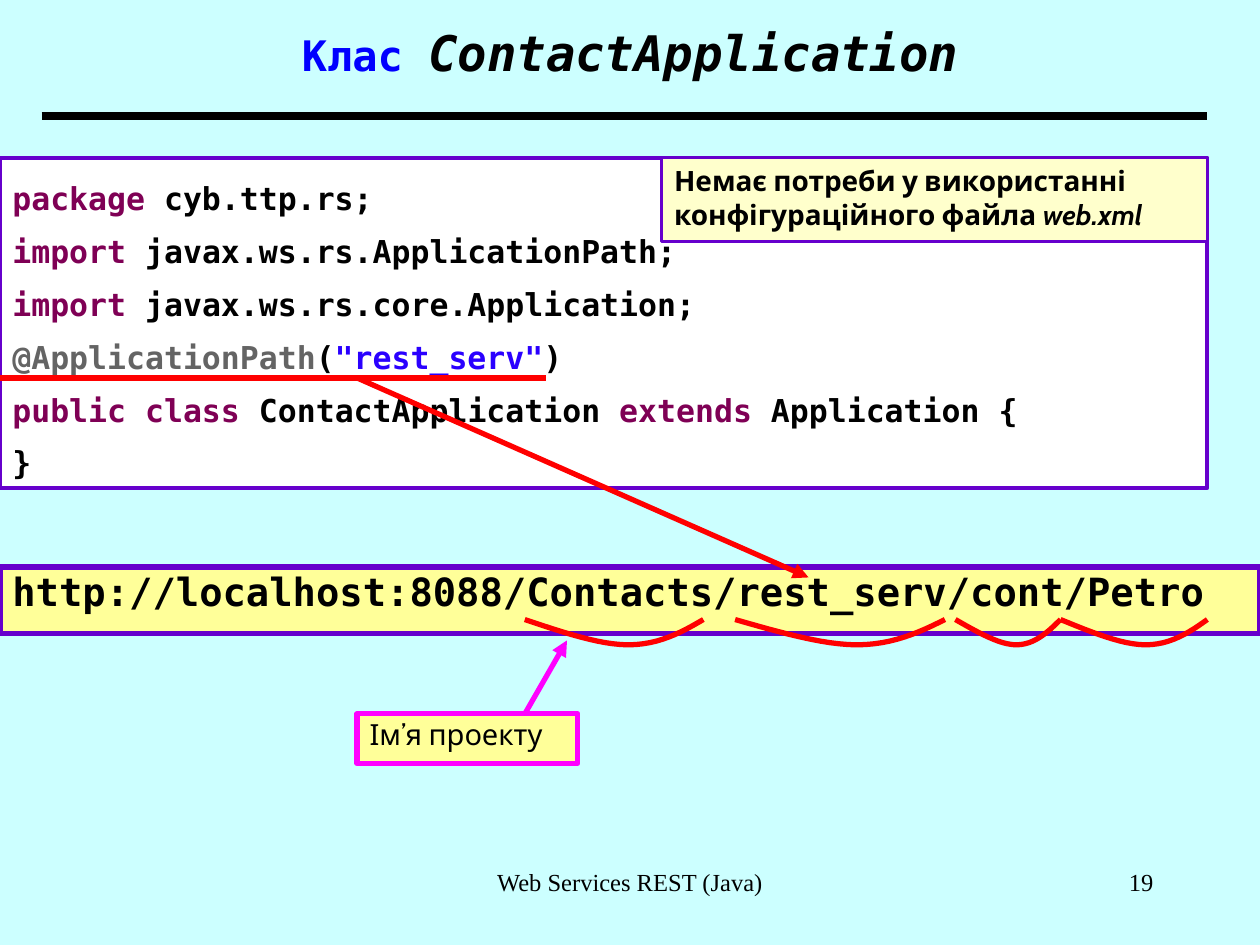
from dataclasses import dataclass

from lxml import etree
from pptx import Presentation
from pptx.dml.color import RGBColor
from pptx.enum.shapes import MSO_CONNECTOR, MSO_SHAPE
from pptx.enum.text import MSO_ANCHOR, PP_ALIGN
from pptx.oxml.ns import qn
from pptx.util import Cm, Pt

STRAIGHT = MSO_CONNECTOR.STRAIGHT
RECTANGLE = MSO_SHAPE.RECTANGLE
TOP, MIDDLE = MSO_ANCHOR.TOP, MSO_ANCHOR.MIDDLE
LEFT, CENTER, RIGHT = PP_ALIGN.LEFT, PP_ALIGN.CENTER, PP_ALIGN.RIGHT


@dataclass(frozen=True)
class Theme:
    mono: str = "DejaVu Sans Mono"
    sans: str = "Cabin"
    serif: str = "Times New Roman"
    background: str = "CCFFFF"
    white: str = "FFFFFF"
    black: str = "000000"
    blue: str = "0000FF"
    purple: str = "6600CC"
    red: str = "FF0000"
    magenta: str = "FF00FF"
    yellow: str = "FFFF99"
    cream: str = "FFFFCC"
    keyword: str = "7F0055"
    annotation: str = "646464"
    literal: str = "2A00FF"
    title_size: float = 24
    class_size: float = 28
    code_size: float = 18
    url_size: float = 22.2
    note_size: float = 16
    label_size: float = 16.6
    footer_size: float = 14


class SlideBuilder:
    def __init__(self, page, theme):
        self.page = page
        self.theme = theme
        page.background.fill.solid()
        page.background.fill.fore_color.rgb = RGBColor.from_string(theme.background)

    def stroke(self, shape, color, width):
        shape.line.color.rgb = RGBColor.from_string(color)
        shape.line.width = Pt(width)

    def set_lines(self, shape, lines, font, size, bold=False, align=LEFT, anchor=TOP, spacing=1.0):
        frame = shape.text_frame
        frame.word_wrap = True
        frame.vertical_anchor = anchor
        for index, line in enumerate(lines):
            para = frame.add_paragraph() if index else frame.paragraphs[0]
            para.alignment = align
            para.line_spacing = spacing
            for text, color, *italic_size in line:
                span = para.add_run()
                span.text = text
                span.font.name = font
                span.font.size = Pt(italic_size[0] if italic_size else size)
                span.font.bold = bold
                span.font.italic = bool(italic_size)
                span.font.color.rgb = RGBColor.from_string(color)

    def text(self, area, lines, font, size, **options):
        box = self.page.shapes.add_textbox(*map(Cm, area))
        self.set_lines(box, lines, font, size, **options)

    def panel(self, area, fill, border, width, lines, font, size, **options):
        box = self.page.shapes.add_shape(RECTANGLE, *map(Cm, area))
        box.shadow.inherit = False
        box.fill.solid()
        box.fill.fore_color.rgb = RGBColor.from_string(fill)
        self.stroke(box, border, width)
        self.set_lines(box, lines, font, size, **options)

    def line(self, start, end, color, width, arrow=False):
        connector = self.page.shapes.add_connector(STRAIGHT, *map(Cm, start + end))
        self.stroke(connector, color, width)
        properties = connector._element.spPr
        if arrow:
            etree.SubElement(properties.find(qn("a:ln")), qn("a:tailEnd"), type="triangle")
        etree.SubElement(properties, qn("a:effectLst"))

    def brace(self, left, right, top, depth, color, width, steps=12):
        halves = (
            ((0, 0), (0.21, 0.5), (0.42, 1), (0.58, 1)),
            ((0.58, 1), (0.75, 1), (0.88, 0.5), (1, 0)),
        )
        points = []
        for half in halves:
            for step in range(1, steps + 1):
                t = step / steps
                weights = ((1 - t) ** 3, 3 * t * (1 - t) ** 2, 3 * t * t * (1 - t), t**3)
                x, y = (sum(w * p[axis] for w, p in zip(weights, half)) for axis in (0, 1))
                points.append((Cm(left + x * (right - left)), Cm(top + y * depth)))
        outline = self.page.shapes.build_freeform(Cm(left), Cm(top))
        outline.add_line_segments(points, close=False)
        curve = outline.convert_to_shape()
        curve.shadow.inherit = False
        curve.fill.background()
        self.stroke(curve, color, width)


def main():
    deck = Presentation()
    deck.slide_width, deck.slide_height = Cm(25.4), Cm(19.05)
    theme = Theme()
    builder = SlideBuilder(deck.slides.add_slide(deck.slide_layouts[6]), theme)
    black, keyword = theme.black, theme.keyword

    title = [[("Клас ", theme.blue), ("ContactApplication", black, theme.class_size)]]
    builder.text((0.64, 0, 24.13, 2.11), title, theme.mono, theme.title_size,
                 bold=True, align=CENTER, anchor=MIDDLE)
    builder.line((0.84, 2.33), (24.34, 2.33), black, 4.5)

    code = [
        [("package", keyword), (" cyb.ttp.rs;", black)],
        [("import", keyword), (" javax.ws.rs.ApplicationPath;", black)],
        [("import", keyword), (" javax.ws.rs.core.Application;", black)],
        [("@ApplicationPath", theme.annotation), ("(", black),
         ('"rest_serv"', theme.literal), (")", black)],
        [("public class", keyword), (" ContactApplication ", black),
         ("extends", keyword), (" Application {", black)],
        [("}", black)],
    ]
    builder.panel((0, 3.18, 24.34, 6.66), theme.white, theme.purple, 2.25,
                  code, theme.mono, theme.code_size, bold=True, spacing=1.4)
    builder.line((0, 7.62), (11, 7.62), theme.red, 3)

    address = [[("http://localhost:8088/Contacts/rest_serv/cont/Petro", black)]]
    builder.panel((0, 11.43, 25.4, 1.35), theme.yellow, theme.purple, 3,
                  address, theme.mono, theme.url_size, bold=True, spacing=0.9)
    for left, right in ((10.58, 14.18), (14.82, 19.05), (19.26, 21.38), (21.38, 24.34)):
        builder.brace(left, right, 12.49, 0.51, theme.red, 3)
    builder.line((7.2, 7.62), (16.3, 11.64), theme.red, 3, arrow=True)

    note = [[("Немає потреби у використанні конфігураційного файла ", black),
             ("web.xml", black, theme.note_size)]]
    builder.panel((13.34, 3.18, 11, 1.69), theme.cream, theme.purple, 2,
                  note, theme.sans, theme.note_size, bold=True)
    builder.panel((7.2, 14.39, 4.45, 1), theme.yellow, theme.magenta, 3,
                  [[("Ім’я проекту", black)]], theme.sans, theme.label_size, spacing=0.9)
    builder.line((10.58, 14.39), (11.43, 12.91), theme.magenta, 3, arrow=True)

    builder.text((8.68, 17.36, 8.04, 1.27), [[("Web Services REST (Java)", black)]],
                 theme.serif, theme.footer_size, align=CENTER)
    builder.text((18.21, 17.36, 5.29, 1.27), [[("19", black)]],
                 theme.serif, theme.footer_size, align=RIGHT)
    deck.save("out.pptx")


if __name__ == "__main__":
    main()
